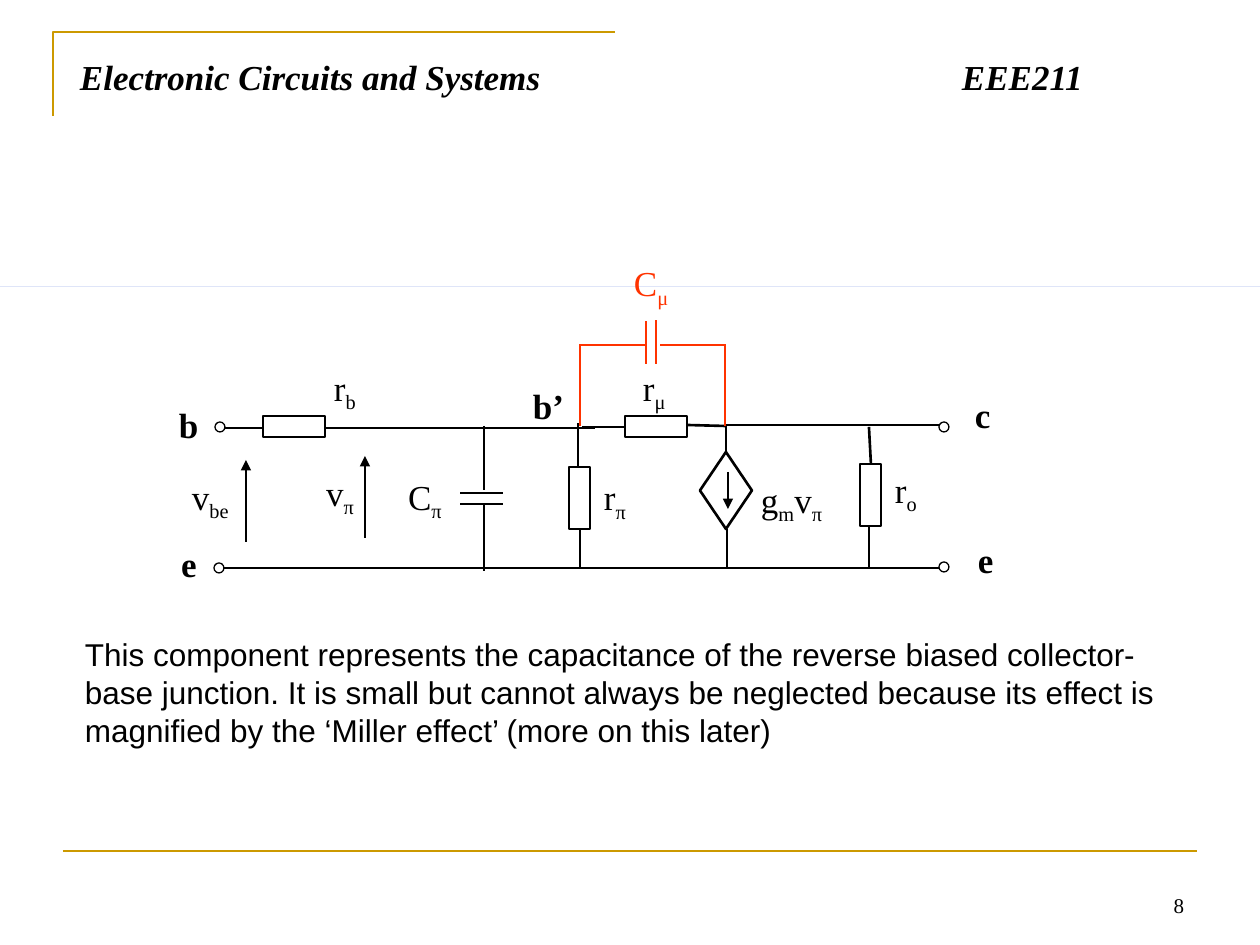
import pptx
import pptx.util
import pptx.dml.color
import pptx.enum.shapes
import pptx.enum.text
import pptx.oxml
import lxml.etree

THEME = dict(ink="000000", gold="CC9900", red="FF3300", blue="0033CC", white="FFFFFF",
             serif="Times New Roman", sans="Arial",
             head=20, body=18, label=20, page=12, thick=1.5, mid=1, thin=0.75)
PX = pptx.util.Inches(1) // 126
KIND = pptx.enum.shapes.MSO_SHAPE
ALIGN = pptx.enum.text.PP_ALIGN
ANCHOR = pptx.enum.text.MSO_ANCHOR

TITLE = "Electronic Circuits and Systems\tEEE211"
BODY = ("This component represents the capacitance of the reverse biased collector-base junction. "
        "It is small but cannot always be neglected because its effect is magnified by the "
        "‘Miller effect’ (more on this later)")

WIRES = {
    "thick": [(219, 568, 944, 568), (580, 529, 580, 569), (727, 529, 727, 568),
              (871, 464, 869, 427), (869, 527, 869, 568), (578, 467, 578, 423),
              (726, 425, 944, 425), (687, 425, 725, 426), (624, 427, 582, 427),
              (595, 428, 221, 428)],
    "mid": [(726, 452, 726, 425)],
    "thin": [(484, 426, 484, 490), (484, 504, 484, 571),
             (503, 493, 460, 493), (503, 504, 460, 504)],
}
MILLER = [(725, 345, 660, 345), (645, 345, 580, 345), (656, 364, 656, 320),
          (646, 364, 646, 321), (725, 426, 725, 344), (580, 426, 580, 344)]
ARROWS = [(365, 538, 365, 456), (246, 542, 246, 460), (728, 472, 728, 509)]
PARTS = [
    (KIND.DIAMOND, "thick", [(700, 452, 52, 77)]),
    (KIND.RECTANGLE, "thick", [(860, 464, 21, 62), (569, 467, 21, 62),
                               (625, 416, 62, 21), (263, 416, 62, 21)]),
    (KIND.OVAL, "thin", [(215, 422, 10, 10), (214, 563, 10, 10),
                         (939, 422, 10, 10), (939, 562, 10, 10)]),
]
LABELS = [
    ("r_π", 604, 476, 35), ("g_m v_π", 761, 478, 71), ("r_o", 895, 468, 27),
    ("v_π", 326, 471, 32), ("r_μ", 643, 366, 28), ("r_b", 334, 366, 27),
    ("v_be", 192, 475, 45), ("C_π", 408, 475, 59),
]
NODES = [("b", 179, 403, 20), ("e", 181, 542, 16), ("b’", 533, 384, 53),
         ("c", 975, 394, 16), ("e", 978, 538, 16)]


def rgb(name):
    return pptx.dml.color.RGBColor.from_string(THEME[name])


def text(runs, box, size="label", face="serif", color="ink", bold=False, slant=False,
         inset=(0, 0), align=ALIGN.LEFT, anchor=ANCHOR.TOP, tab=None):
    frame = slide.shapes.add_textbox(*[v * PX for v in box]).text_frame
    frame.word_wrap = True
    frame.vertical_anchor = anchor
    frame.margin_left = frame.margin_right = inset[0] * PX
    frame.margin_top = frame.margin_bottom = inset[1] * PX
    para = frame.paragraphs[0]
    para.alignment = align
    if tab:
        stops = lxml.etree.SubElement(para._p.get_or_add_pPr(), pptx.oxml.ns.qn("a:tabLst"))
        lxml.etree.SubElement(stops, pptx.oxml.ns.qn("a:tab"), pos=str(tab * PX), algn="l")
    for words, low in runs:
        run = para.add_run()
        run.text = words
        font = run.font
        font.name, font.size = THEME[face], pptx.util.Pt(THEME[size])
        font.bold, font.italic = bold, slant
        font.color.rgb = rgb(color)
        if low:
            run._r.get_or_add_rPr().set("baseline", "-25000")


def symbol(code, x, y, width, **style):
    runs = []
    for term in code.split():
        base, _, sub = term.partition("_")
        runs.append((base, False))
        if sub:
            runs.append((sub, True))
    text(runs, (x, y, width, 42), **style)


def wire(ends, weight="thick", color="ink", arrow=False):
    link = slide.shapes.add_connector(pptx.enum.shapes.MSO_CONNECTOR.STRAIGHT,
                                      *[v * PX for v in ends])
    link.line.color.rgb = rgb(color)
    link.line.width = pptx.util.Pt(THEME[weight])
    props = link._element.spPr
    if arrow:
        lxml.etree.SubElement(link.line._get_or_add_ln(), pptx.oxml.ns.qn("a:tailEnd"),
                              type="triangle")
    lxml.etree.SubElement(props, pptx.oxml.ns.qn("a:effectLst"))


def part(kind, box, weight=None, fill="white"):
    item = slide.shapes.add_shape(kind, *[v * PX for v in box])
    item.shadow.inherit = False
    item.fill.solid()
    item.fill.fore_color.rgb = rgb(fill)
    if weight:
        item.line.color.rgb = rgb("ink")
        item.line.width = pptx.util.Pt(THEME[weight])
    else:
        item.line.fill.background()


def corner(start, *points):
    form = slide.shapes.build_freeform(*start, scale=PX)
    form.add_line_segments(points, close=False)
    item = form.convert_to_shape()
    item.shadow.inherit = False
    item.fill.background()
    item.line.color.rgb = rgb("gold")
    item.line.width = pptx.util.Pt(THEME["thick"])


deck = pptx.Presentation()
deck.slide_width, deck.slide_height = 1260 * PX, 945 * PX
slide = deck.slides.add_slide(deck.slide_layouts[6])

corner((53, 116), (53, 32), (615, 32))
wire((63, 851, 1197, 851), color="gold")
text([("8", False)], (903, 861, 294, 63), size="page", inset=(13, 6),
     align=ALIGN.RIGHT, anchor=ANCHOR.BOTTOM)
text([(TITLE, False)], (67, 50, 1124, 77), size="head", bold=True, slant=True,
     inset=(13, 6), tab=882)
part(KIND.RECTANGLE, (0, 287, 1260, 0), fill="blue")
text([(BODY, False)], (72, 629, 1123, 126), size="body", face="sans", inset=(13, 6))

for weight, group in WIRES.items():
    for ends in group:
        wire(ends, weight)
for kind, weight, boxes in PARTS:
    for box in boxes:
        part(kind, box, weight)
for ends in ARROWS:
    wire(ends, "thin", arrow=True)
for label in LABELS:
    symbol(*label)
for node in NODES:
    symbol(*node, bold=True)
for ends in MILLER:
    wire(ends, "thin", "red")
symbol("C_μ", 634, 262, 45, color="red")

deck.save("out.pptx")
